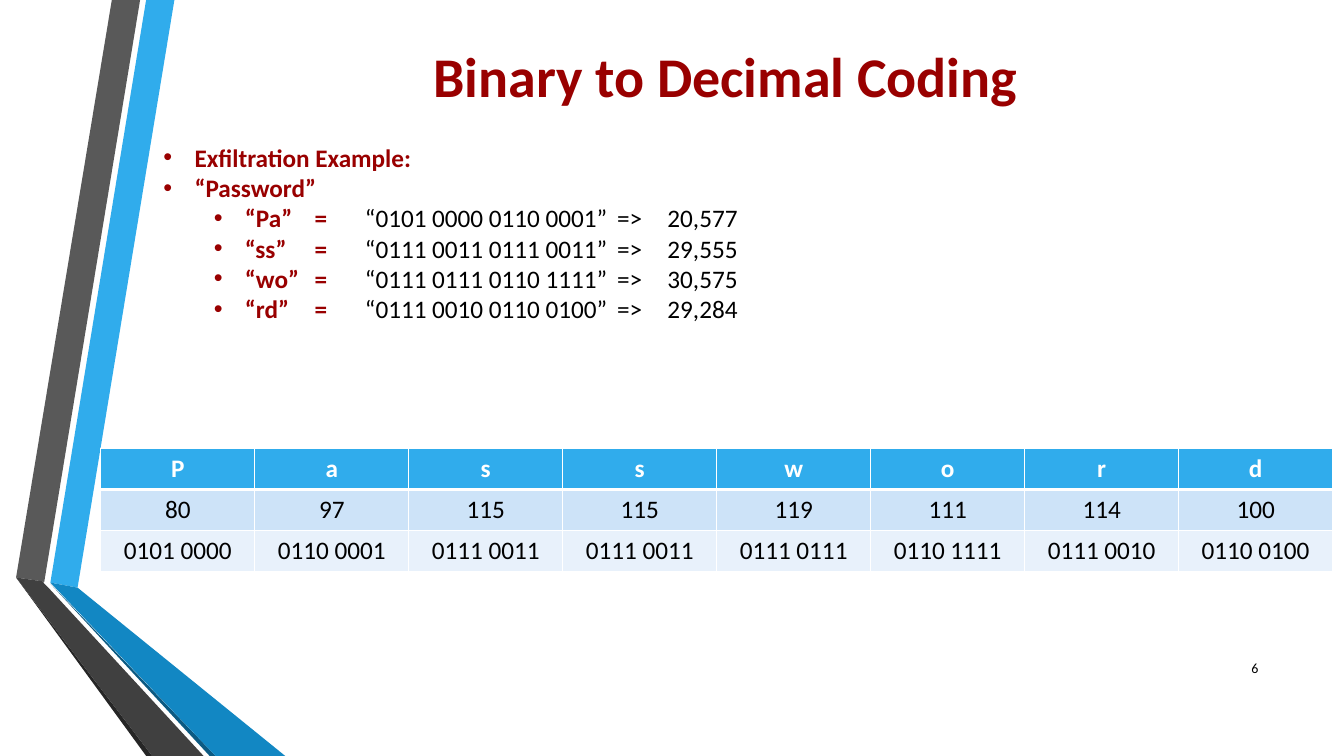
"""Build the slide that turns the letters of a password into binary and decimal codes."""
from dataclasses import dataclass

from lxml import etree
from pptx import Presentation
from pptx import util as u
from pptx.dml.color import RGBColor
from pptx.enum import text as t
from pptx.oxml import ns

TITLE = "Binary to Decimal Coding"
HEADINGS = ["Exfiltration Example:", "“Password”"]
PAIRS = [
    ("Pa", "0101 0000 0110 0001", "20,577"),
    ("ss", "0111 0011 0111 0011", "29,555"),
    ("wo", "0111 0111 0110 1111", "30,575"),
    ("rd", "0111 0010 0110 0100", "29,284"),
]
LETTER_ROWS = [
    list("Password"),
    ["80", "97", "115", "115", "119", "111", "114", "100"],
    ["0101 0000", "0110 0001", "0111 0011", "0111 0011",
     "0111 0111", "0110 1111", "0111 0010", "0110 0100"],
]
SLIDE_NUMBER = "6"


@dataclass(frozen=True)
class Theme:
    font: str = "Calibri"
    accent: str = "990000"
    ink: str = "000000"
    white: str = "FFFFFF"
    sky: str = "30ACEC"
    row_fills: tuple = ("30ACEC", "CDE3F8", "E8F1FB")
    title_size: int = 40
    text_size: int = 18
    number_size: int = 10
    thin: int = 1
    thick: int = 3


THEME = Theme()

CELL = u.Inches(0.01)
COLUMNS, ROWS = 1333, 750
TITLE_AREA = (420, 36, 632, 77)
LIST_AREA = (152, 136, 609, 518)
TABLE_AREA = (100, 445, 1222, 122)
NUMBER_AREA = (1198, 643, 60, 40)
BULLET_INDENT, LEVEL_INDENT = 31, 50

RIBBONS = [
    (THEME.sky, [(50, 578), (77, 583), (173, 0), (145, 0)]),
    ("595959", [(139, 0), (111, 0), (16, 573), (44, 577)]),
    ("262626", [(16, 573), (145, ROWS), (151, ROWS)]),
    ("0C5A82", [(50, 579), (208, ROWS), (214, ROWS)]),
    ("1287C3", [(50, 578), (214, ROWS), (283, ROWS), (77, 583)]),
    ("404040", [(202, ROWS), (48, 583), (43, 578), (44, 577), (16, 573), (151, ROWS)]),
]


def span(area):
    return [CELL * length for length in area]


def place(shape, area):
    shape.left, shape.top, shape.width, shape.height = span(area)


def prepare(shape, anchor):
    frame = shape.text_frame
    frame.word_wrap = True
    frame.auto_size = t.MSO_AUTO_SIZE.NONE
    frame.vertical_anchor = anchor
    return frame


def add_run(paragraph, words, size, color, bold=False):
    run = paragraph.add_run()
    run.text = words
    run.font.name = THEME.font
    run.font.size = u.Pt(size)
    run.font.bold = bold
    run.font.color.rgb = RGBColor.from_string(color)


def add_ribbon(slide, color, points):
    builder = slide.shapes.build_freeform(*points[0], scale=CELL)
    builder.add_line_segments(points[1:], close=True)
    ribbon = builder.convert_to_shape()
    ribbon.shadow.inherit = False
    ribbon.fill.solid()
    ribbon.fill.fore_color.rgb = RGBColor.from_string(color)
    ribbon.line.fill.background()
    slide.shapes.title.element.addprevious(ribbon.element)


def add_bullet(paragraph, level):
    paragraph.level = level
    paragraph.space_before = u.Pt(0)
    properties = paragraph._p.get_or_add_pPr()
    properties.set("marL", str(CELL * (BULLET_INDENT + level * LEVEL_INDENT)))
    properties.set("indent", str(-CELL * BULLET_INDENT))
    properties.set("defTabSz", str(CELL * LEVEL_INDENT))
    etree.SubElement(properties, ns.qn("a:buChar"), char="•")


def fill_list(body):
    place(body, LIST_AREA)
    frame = prepare(body, t.MSO_ANCHOR.TOP)
    lines = [(0, heading, "") for heading in HEADINGS]
    lines += [(1, f"“{letters}”\t=\t", f"“{bits}”\t=>\t{value}")
              for letters, bits, value in PAIRS]
    for index, (level, label, code) in enumerate(lines):
        paragraph = frame.add_paragraph() if index else frame.paragraphs[0]
        add_bullet(paragraph, level)
        add_run(paragraph, label, THEME.text_size, THEME.accent, bold=True)
        if code:
            add_run(paragraph, code, THEME.text_size, THEME.ink)


def add_borders(cell, row):
    properties = cell._tc.get_or_add_tcPr()
    thick_side = {0: "B", 1: "T"}.get(row)
    for side in "LRTB":
        width = THEME.thick if side == thick_side else THEME.thin
        line = etree.SubElement(properties, ns.qn(f"a:ln{side}"), w=str(u.Pt(width)))
        fill = etree.SubElement(line, ns.qn("a:solidFill"))
        etree.SubElement(fill, ns.qn("a:srgbClr"), val=THEME.white)


def add_letter_table(slide):
    row_count, column_count = len(LETTER_ROWS), len(LETTER_ROWS[0])
    table = slide.shapes.add_table(row_count, column_count, *span(TABLE_AREA)).table
    table.horz_banding = False
    for row, values in enumerate(LETTER_ROWS):
        is_header = row == 0
        for column, value in enumerate(values):
            cell = table.cell(row, column)
            add_borders(cell, row)
            cell.fill.solid()
            cell.fill.fore_color.rgb = RGBColor.from_string(THEME.row_fills[row])
            paragraph = cell.text_frame.paragraphs[0]
            paragraph.alignment = t.PP_ALIGN.CENTER
            color = THEME.white if is_header else THEME.ink
            add_run(paragraph, value, THEME.text_size, color, bold=is_header)


def main():
    presentation = Presentation()
    presentation.slide_width, presentation.slide_height = CELL * COLUMNS, CELL * ROWS
    slide = presentation.slides.add_slide(presentation.slide_layouts[1])

    for color, points in RIBBONS:
        add_ribbon(slide, color, points)

    title = slide.shapes.title
    place(title, TITLE_AREA)
    heading = prepare(title, t.MSO_ANCHOR.TOP).paragraphs[0]
    heading.alignment = t.PP_ALIGN.LEFT
    add_run(heading, TITLE, THEME.title_size, THEME.accent, bold=True)

    fill_list(slide.placeholders[1])
    add_letter_table(slide)

    number_box = slide.shapes.add_textbox(*span(NUMBER_AREA))
    number = prepare(number_box, t.MSO_ANCHOR.MIDDLE).paragraphs[0]
    number.alignment = t.PP_ALIGN.RIGHT
    add_run(number, SLIDE_NUMBER, THEME.number_size, THEME.ink)

    presentation.save("out.pptx")


if __name__ == "__main__":
    main()
